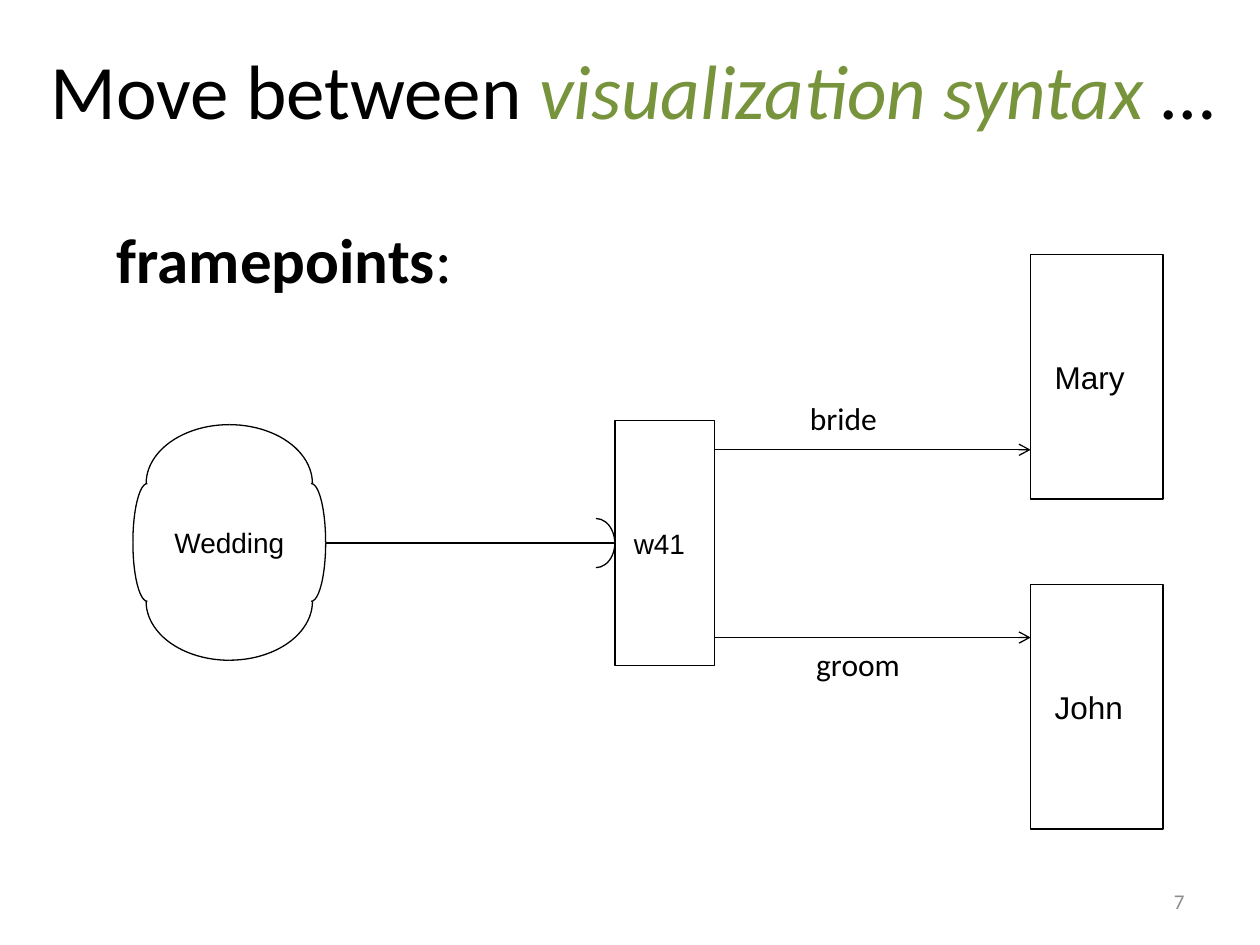
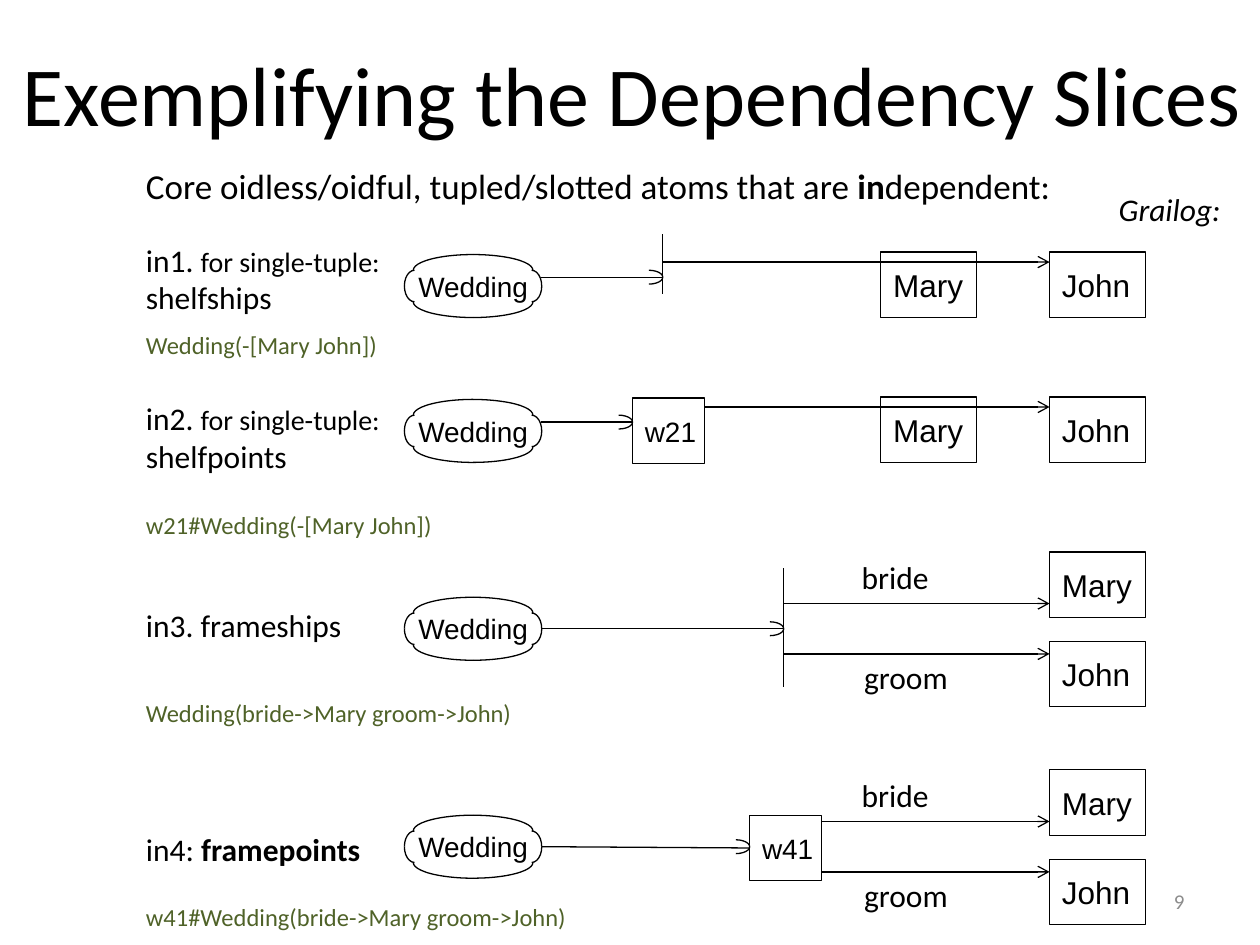
from dataclasses import dataclass

from lxml.etree import SubElement
from pptx import Presentation
from pptx.dml.color import RGBColor
from pptx.enum.shapes import MSO_CONNECTOR, MSO_SHAPE
from pptx.enum.text import MSO_ANCHOR, PP_ALIGN
from pptx.oxml.ns import qn
from pptx.shapes.autoshape import Shape
from pptx.shapes.shapetree import GroupShapes
from pptx.slide import Slide
from pptx.text.text import TextFrame
from pptx.util import Inches, Pt

BLACK = RGBColor(0x00, 0x00, 0x00)
GREY = RGBColor(0x8C, 0x8C, 0x8C)
GREEN = RGBColor(0x77, 0x93, 0x3C)
DARK_GREEN = RGBColor(0x4F, 0x62, 0x28)
BODY_FONT, NODE_FONT = "Calibri", "Arial"
LINE_WIDTH = Pt(0.75)
LEFT_X, NODE_X, MARY_X = 1.06, 8.33, 6.99
NODE_H = 0.52


@dataclass(frozen=True)
class Run:
    """A piece of text with the format that differs from its paragraph."""
    text: str
    size: float | None = None
    bold: bool = False
    italic: bool = False
    color: RGBColor | None = None


@dataclass(frozen=True)
class Node:
    """A rectangle holding the name of an individual."""
    name: str
    x: float
    y: float
    w: float = 0.76
    h: float = NODE_H
    size: float = 18
    inset: float = 0.1


@dataclass(frozen=True)
class Cloud:
    """A relation outline made of four half ellipses around its name."""
    x: float
    y: float
    w: float
    h: float
    side: float


@dataclass(frozen=True)
class Caption:
    """The heading and formula that stand left of a diagram row."""
    y: float
    lines: list[list[Run]]
    formula_y: float
    formula: str


CAPTIONS = [
    Caption(1.86, [[Run("in1. "), Run("for single-tuple:", 16)], [Run("shelfships")]],
            2.57, "Wedding(-[Mary John])"),
    Caption(3.12, [[Run("in2. "), Run("for single-tuple:", 16)], [Run("shelfpoints")]],
            4.0, "w21#Wedding(-[Mary John])"),
    Caption(4.76, [[Run("in3. frameships")]],
            5.49, "Wedding(bride->Mary groom->John)"),
    Caption(6.54, [[Run("in4: "), Run("framepoints", bold=True)]],
            7.11, "w41#Wedding(bride->Mary groom->John)"),
]


def write(tf: TextFrame, text: str | list[list[Run]], *, size: float = 18,
          font: str = BODY_FONT, color: RGBColor = BLACK, italic: bool = False,
          align: PP_ALIGN = PP_ALIGN.LEFT, anchor: MSO_ANCHOR = MSO_ANCHOR.TOP) -> None:
    """Fill a text frame with a string or with paragraphs of runs."""
    tf.word_wrap = True
    tf.vertical_anchor = anchor
    lines = [[Run(text)]] if isinstance(text, str) else text
    for i, line in enumerate(lines):
        p = tf.add_paragraph() if i else tf.paragraphs[0]
        p.alignment = align
        for item in line:
            r = p.add_run()
            r.text = item.text
            r.font.name = font
            r.font.size = Pt(item.size or size)
            r.font.bold = item.bold
            r.font.italic = item.italic or italic
            r.font.color.rgb = item.color or color


def add_label(s: Slide, x: float, y: float, w: float, h: float,
              text: str | list[list[Run]], **style) -> None:
    """Add a text box."""
    tb = s.shapes.add_textbox(Inches(x), Inches(y), Inches(w), Inches(h))
    write(tb.text_frame, text, **style)


def outline(sp: Shape) -> Shape:
    """Give a shape a thin black line and no fill or shadow."""
    sp.shadow.inherit = False
    sp.fill.background()
    sp.line.color.rgb = BLACK
    sp.line.width = LINE_WIDTH
    return sp


def add_half_ellipse(shapes: GroupShapes, x: float, y: float, w: float, h: float,
                     start: int) -> None:
    """Draw two quarter arcs, clockwise from the start angle."""
    for angle in (start, (start + 90) % 360):
        sp = outline(shapes.add_shape(MSO_SHAPE.ARC, Inches(x), Inches(y), Inches(w), Inches(h)))
        sp.adjustments[0] = angle * 0.6
        sp.adjustments[1] = (angle + 90) % 360 * 0.6


def add_cloud(s: Slide, cloud: Cloud) -> None:
    """Draw the Wedding relation as one group."""
    x, y, w, h, side = cloud.x, cloud.y, cloud.w, cloud.h, cloud.side
    shapes = s.shapes.add_group_shape().shapes
    tb = shapes.add_textbox(Inches(x), Inches(y), Inches(w), Inches(h))
    tf = tb.text_frame
    tf.margin_left = tf.margin_right = tf.margin_top = tf.margin_bottom = 0
    write(tf, "Wedding", size=16, font=NODE_FONT, align=PP_ALIGN.CENTER,
          anchor=MSO_ANCHOR.MIDDLE)
    add_half_ellipse(shapes, x, y, w, h / 2, 180)
    add_half_ellipse(shapes, x, y + h / 2, w, h / 2, 0)
    for centre, start in ((x + 0.01, 90), (x + w - 0.01, 270)):
        add_half_ellipse(shapes, centre - side / 2, y + h / 4, side, h / 2, start)


def add_node(s: Slide, node: Node) -> Shape:
    """Draw a named rectangle."""
    sp = outline(s.shapes.add_shape(MSO_SHAPE.RECTANGLE, Inches(node.x), Inches(node.y),
                                    Inches(node.w), Inches(node.h)))
    tf = sp.text_frame
    tf.margin_left, tf.margin_right = Inches(node.inset), 0
    write(tf, node.name, size=node.size, font=NODE_FONT, anchor=MSO_ANCHOR.MIDDLE)
    return sp


def add_link(s: Slide, x1: float, y1: float, x2: float, y2: float, *,
             arrow: bool = False, target: Shape | None = None) -> None:
    """Draw a straight line, with an arrowhead or joined to a left side on request."""
    cx = s.shapes.add_connector(MSO_CONNECTOR.STRAIGHT, Inches(x1), Inches(y1),
                                Inches(x2), Inches(y2))
    cx.line.color.rgb = BLACK
    cx.line.width = LINE_WIDTH
    if arrow:
        SubElement(cx.line._get_or_add_ln(), qn("a:tailEnd"), type="arrow")
    SubElement(cx.element.spPr, qn("a:effectLst"))
    if target is not None:
        cx.end_connect(target, 1)


def add_instance_link(s: Slide, x1: float, y1: float, x2: float, y2: float,
                      cap_w: float = 0.22, cap_h: float = 0.11,
                      target: Shape | None = None) -> None:
    """Draw a line that ends in a round cap."""
    add_link(s, x1, y1, x2, y2, target=target)
    shapes = s.shapes.add_group_shape().shapes
    add_half_ellipse(shapes, x2 - cap_w, y2 - cap_h / 2, cap_w, cap_h, 270)


def add_tuple_row(s: Slide, top: float, hub_x: float, hub_right: float) -> None:
    """Draw a relation whose arrow runs through Mary to John."""
    add_cloud(s, Cloud(3.28, top, 0.95, 0.5, 0.16))
    add_instance_link(s, 4.29, top + 0.18, hub_x, top + 0.18)
    for name, x in (("Mary", MARY_X), ("John", NODE_X)):
        add_node(s, Node(name, x, top - 0.02))
    add_link(s, hub_right, top + 0.06, NODE_X, top + 0.06, arrow=True)


def add_frame_row(s: Slide, top: float, hub_x: float, hub_right: float,
                  hub: Shape | None = None) -> None:
    """Draw a relation with a bride slot and a groom slot."""
    add_cloud(s, Cloud(3.28, top, 0.95, 0.5, 0.16))
    add_instance_link(s, 4.3, top + 0.25, hub_x, top + 0.25, target=hub)
    for role, name, label_x, label_dy, node_dy, arrow_dy in (
            ("bride", "Mary", 6.74, -0.36, -0.36, 0.05),
            ("groom", "John", 6.76, 0.43, 0.35, 0.45)):
        add_label(s, label_x, top + label_dy, 1, 0.4, role)
        add_node(s, Node(name, NODE_X, top + node_dy))
        add_link(s, hub_right, top + arrow_dy, NODE_X, top + arrow_dy, arrow=True)


def start_slide(prs, title: list[list[Run]], size: float, number: str) -> Slide:
    """Add a blank slide with its title and number."""
    s = prs.slides.add_slide(prs.slide_layouts[6])
    add_label(s, 0.04, 0.29, 9.96, 0.83, title, size=size, align=PP_ALIGN.CENTER)
    add_label(s, 7.17, 6.95, 2.33, 0.4, number, size=12, color=GREY,
              align=PP_ALIGN.RIGHT, anchor=MSO_ANCHOR.MIDDLE)
    return s


def build_framepoints(prs) -> None:
    """Build the slide with one large framepoint diagram."""
    title = [[Run("Move between "), Run("visualization syntax ", italic=True, color=GREEN),
              Run("…")]]
    s = start_slide(prs, title, 44, "7")
    add_label(s, 0.83, 1.7, 3.2, 0.71, [[Run("framepoints", bold=True), Run(":")]], size=36)
    add_cloud(s, Cloud(1.16, 3.37, 1.32, 1.87, 0.23))
    hub = add_node(s, Node("w41", 4.88, 3.34, 0.79, 1.94, 16, 0.15))
    add_instance_link(s, 2.59, 4.31, 4.88, 4.31, 0.3, 0.39, hub)
    for role, name, label_x, label_y, node_y, arrow_y in (
            ("bride", "Mary", 6.33, 3.12, 2.02, 3.57),
            ("groom", "John", 6.38, 5.07, 4.64, 5.06)):
        add_label(s, label_x, label_y, 1.2, 0.4, role)
        add_node(s, Node(name, 8.18, node_y, 1.05, 1.94, inset=0.19))
        add_link(s, 5.67, arrow_y, 8.18, arrow_y, arrow=True)


def build_dependency_slices(prs) -> None:
    """Build the slide that compares four kinds of atoms."""
    s = start_slide(prs, [[Run("Exemplifying the Dependency Slices")]], 48, "9")
    add_label(s, LEFT_X, 1.26, 7.7, 0.44, [[
        Run("Core oidless/oidful, tupled/slotted atoms that are "),
        Run("in", bold=True), Run("dependent:")]], size=20)
    add_label(s, 8.78, 1.46, 1.15, 0.4, "Grailog:", italic=True)
    for c in CAPTIONS:
        add_label(s, LEFT_X, c.y, 2.2, 0.4 if len(c.lines) == 1 else 0.71, c.lines)
        add_label(s, LEFT_X, c.formula_y, 3.9, 0.34, c.formula, size=14, color=DARK_GREEN)

    add_link(s, 5.26, 1.86, 5.26, 2.33)
    add_tuple_row(s, 2.02, 5.26, 5.26)
    add_node(s, Node("w21", 5.02, 3.16, 0.57, size=16))
    add_tuple_row(s, 3.17, 5.02, 5.59)
    add_link(s, 6.22, 4.51, 6.22, 5.45)
    add_frame_row(s, 4.74, 6.22, 6.22)
    w41 = add_node(s, Node("w41", 5.95, 6.47, 0.57, size=16))
    add_frame_row(s, 6.47, 5.95, 6.52, w41)


def main() -> None:
    """Build and save the presentation."""
    prs = Presentation()
    prs.slide_width, prs.slide_height = Inches(10), Inches(7.5)
    build_framepoints(prs)
    build_dependency_slices(prs)
    prs.save("out.pptx")


if __name__ == "__main__":
    main()
